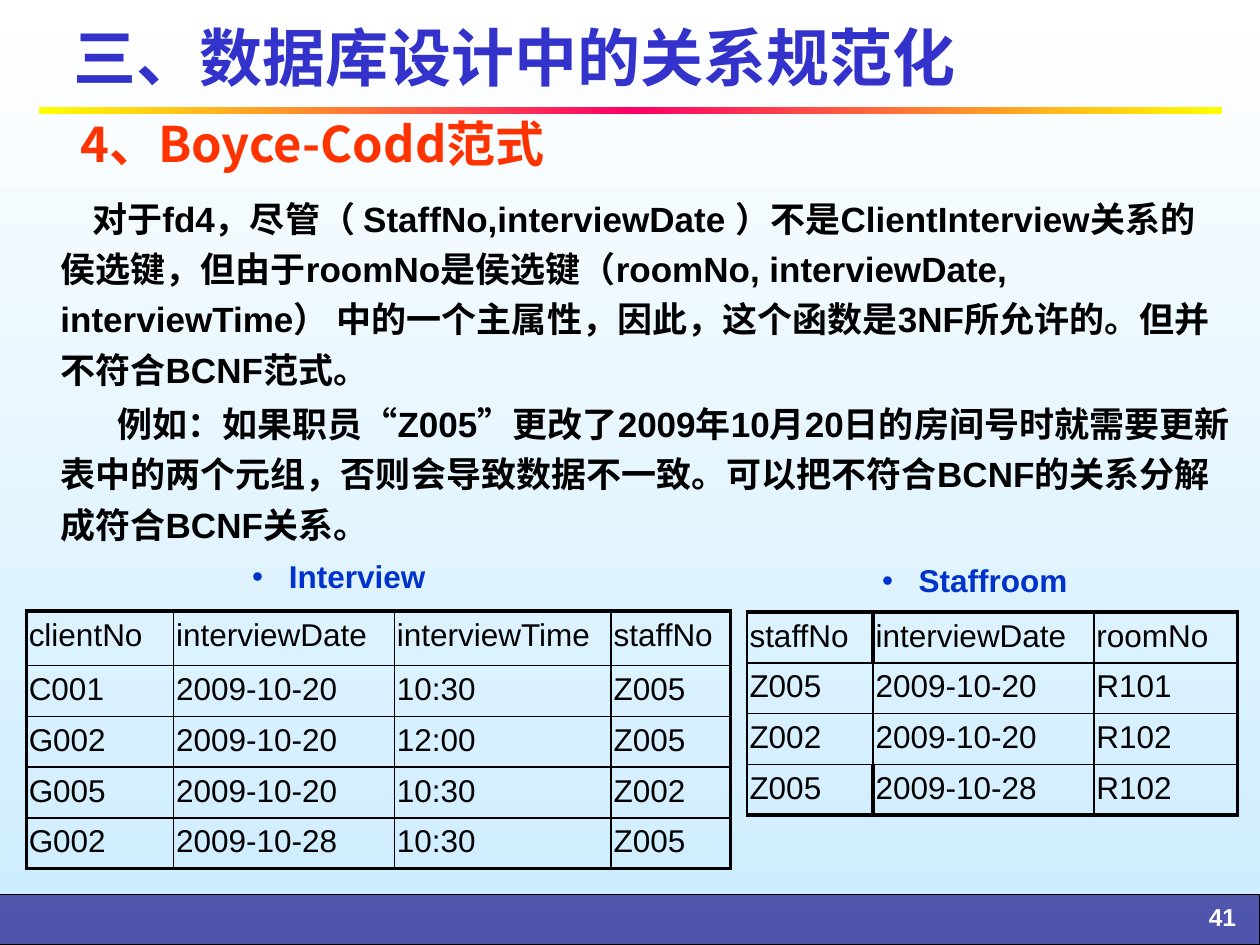
from copy import deepcopy
from dataclasses import dataclass

from lxml import etree
from pptx import Presentation
from pptx import util as u
from pptx.dml.color import RGBColor
from pptx.enum import shapes, text
from pptx.oxml.ns import qn


@dataclass
class Theme:
    latin: str = "Arial"
    asian: str = "Noto Sans CJK SC"
    black: str = "000000"
    white: str = "FFFFFF"
    sky: str = "CCECFF"
    title: str = "3333CC"
    heading: str = "FF3300"
    label: str = "0033CC"
    footer: str = "333399"
    yellow: str = "FFFF00"
    pink: str = "FF0066"
    title_size: int = 36
    heading_size: int = 28
    body_size: int = 20
    small_size: int = 18
    number_size: int = 14
    thin: float = 1
    thick: float = 2.25


theme = Theme()


def add_span(para, words, size, color, bold=True, latin=theme.latin):
    span = para.add_run()
    span.text = words
    span.font.name = latin
    span.font.size = u.Pt(size)
    span.font.bold = bold
    span.font.color.rgb = RGBColor.from_string(color)
    asian = etree.SubElement(span.font._element, qn("a:ea"))
    asian.set("typeface", theme.asian)


def paint_gradient(fill, element, colors, angle):
    fill.gradient()
    fill.gradient_angle = angle
    stop_list = next(element.iter(qn("a:gsLst")))
    while len(stop_list) < len(colors):
        stop_list.append(deepcopy(stop_list[0]))
    for i, (stop, color) in enumerate(zip(fill.gradient_stops, colors)):
        stop.color.rgb = RGBColor.from_string(color)
        stop.position = i / (len(colors) - 1)


deck = Presentation()
deck.slide_width, deck.slide_height = u.Cm(25.4), u.Cm(19.05)
page = deck.slides.add_slide(deck.slide_layouts[5])
paint_gradient(page.background.fill, page._element, [theme.white, theme.sky], 270)

# Footer band and rule under the title
band = page.shapes.add_shape(shapes.MSO_SHAPE.RECTANGLE,
                             u.Cm(-0.02), u.Cm(18.03), u.Cm(25.42), u.Cm(1.02))
band.shadow.inherit = False
band.fill.solid()
band.fill.fore_color.rgb = RGBColor.from_string(theme.footer)
band_color = next(band._element.spPr.iter(qn("a:srgbClr")))
etree.SubElement(band_color, qn("a:alpha")).set("val", "81000")
band.line.color.rgb = RGBColor.from_string(theme.black)
band.line.width = u.Pt(0.75)

rule = page.shapes.add_shape(shapes.MSO_SHAPE.RECTANGLE,
                             u.Cm(0.79), u.Cm(2.16), u.Cm(23.85), u.Cm(0.14))
rule.shadow.inherit = False
rule.line.fill.background()
paint_gradient(rule.fill, rule._element, [theme.yellow, theme.pink, theme.yellow], 0)

# Title
title = page.shapes.title
title.left, title.top, title.width, title.height = u.Cm(1.22), u.Cm(0.18), u.Cm(19.51), u.Cm(1.93)
title.text_frame.auto_size = text.MSO_AUTO_SIZE.NONE
title.text_frame.vertical_anchor = text.MSO_ANCHOR.MIDDLE
para = title.text_frame.paragraphs[0]
para.alignment = text.PP_ALIGN.LEFT
add_span(para, "三、数据库设计中的关系规范化", theme.title_size, theme.title)

# Single lines: words, place, size, colour, font, alignment, bullet
left, center, right = text.PP_ALIGN.LEFT, text.PP_ALIGN.CENTER, text.PP_ALIGN.RIGHT
lines = [
    ("4、Boyce-Codd范式", (1.37, 2.03, 21.56, 1.7), theme.heading_size, theme.heading,
     theme.asian, left, False),
    ("Interview", (4.63, 10.97, 4.4, 1.3), theme.small_size, theme.label,
     theme.latin, center, True),
    ("Staffroom", (17.45, 11.05, 4.4, 1.3), theme.small_size, theme.label,
     theme.latin, center, True),
    ("41", (22.71, 18.08, 2.46, 0.8), theme.number_size, theme.white,
     theme.latin, right, False),
]
for words, place, size, color, latin, alignment, bullet in lines:
    box = page.shapes.add_textbox(*map(u.Cm, place))
    box.text_frame.word_wrap = True
    box.text_frame.vertical_anchor = text.MSO_ANCHOR.MIDDLE
    para = box.text_frame.paragraphs[0]
    para.alignment = alignment
    if bullet:
        props = para._p.get_or_add_pPr()
        props.set("marL", str(u.Cm(0.74)))
        props.set("indent", str(u.Cm(-0.74)))
        etree.SubElement(props, qn("a:buFont")).set("typeface", theme.latin)
        etree.SubElement(props, qn("a:buChar")).set("char", "•")
    add_span(para, words, size, color, latin=latin)

# Body text: first-line indent and words
body = [
    (0.64, "对于fd4，尽管（ StaffNo,interviewDate ）不是ClientInterview关系的侯选键，"
           "但由于roomNo是侯选键（roomNo, interviewDate, interviewTime） 中的一个主属性，"
           "因此，这个函数是3NF所允许的。但并不符合BCNF范式。"),
    (1.14, "例如：如果职员“Z005”更改了2009年10月20日的房间号时就需要更新表中的两个元组，"
           "否则会导致数据不一致。可以把不符合BCNF的关系分解成符合BCNF关系。"),
]
box = page.shapes.add_textbox(u.Cm(0.97), u.Cm(3.68), u.Cm(24.08), u.Cm(7.44))
box.text_frame.word_wrap = True
for i, (indent, words) in enumerate(body):
    para = box.text_frame.add_paragraph() if i else box.text_frame.paragraphs[0]
    para._p.get_or_add_pPr().set("indent", str(u.Cm(indent)))
    para.line_spacing = 1.2
    if i:
        para.space_before = u.Pt(2)
    add_span(para, words, theme.body_size, theme.black)

# Tables: place, column widths, header height, rows, thick left edge,
# rows with a thick line after the first column
tables = [
    ((0.53, 12.32), (2.97, 4.45, 4.37, 2.41), 1.1, [
        ("clientNo", "interviewDate", "interviewTime", "staffNo"),
        ("C001", "2009-10-20", "10:30", "Z005"),
        ("G002", "2009-10-20", "12:00", "Z005"),
        ("G005", "2009-10-20", "10:30", "Z002"),
        ("G002", "2009-10-28", "10:30", "Z005"),
    ], True, ()),
    ((15.06, 12.34), (2.54, 4.45, 2.9), 1.02, [
        ("staffNo", "interviewDate", "roomNo"),
        ("Z005", "2009-10-20", "R101"),
        ("Z002", "2009-10-20", "R102"),
        ("Z005", "2009-10-28", "R102"),
    ], False, (0, 3)),
]
row_height = 1.02
for (x, y), widths, header_height, rows, thick_left, split_rows in tables:
    heights = [header_height] + [row_height] * (len(rows) - 1)
    table = page.shapes.add_table(len(rows), len(widths), u.Cm(x), u.Cm(y),
                                  u.Cm(sum(widths)), u.Cm(sum(heights))).table
    table.first_row = table.horz_banding = False
    for column, width in zip(table.columns, widths):
        column.width = u.Cm(width)
    for row, height in zip(table.rows, heights):
        row.height = u.Cm(height)
    for r, row in enumerate(rows):
        for c, words in enumerate(row):
            cell = table.cell(r, c)
            cell.margin_left = cell.margin_right = u.Cm(0.05)
            cell.margin_top = cell.margin_bottom = u.Cm(0.13)
            add_span(cell.text_frame.paragraphs[0], words, theme.small_size,
                     theme.black, bold=False)
            thick_sides = {
                "lnL": (c == 0 and thick_left) or (c == 1 and r in split_rows),
                "lnR": c == len(widths) - 1 or (c == 0 and r in split_rows),
                "lnT": r == 0,
                "lnB": r == len(rows) - 1,
            }
            props = cell._tc.get_or_add_tcPr()
            for side, thick in thick_sides.items():
                edge = etree.SubElement(props, qn(f"a:{side}"))
                edge.set("w", str(u.Pt(theme.thick if thick else theme.thin)))
                paint = etree.SubElement(edge, qn("a:solidFill"))
                etree.SubElement(paint, qn("a:srgbClr")).set("val", theme.black)
            cell.fill.background()

deck.save("out.pptx")
